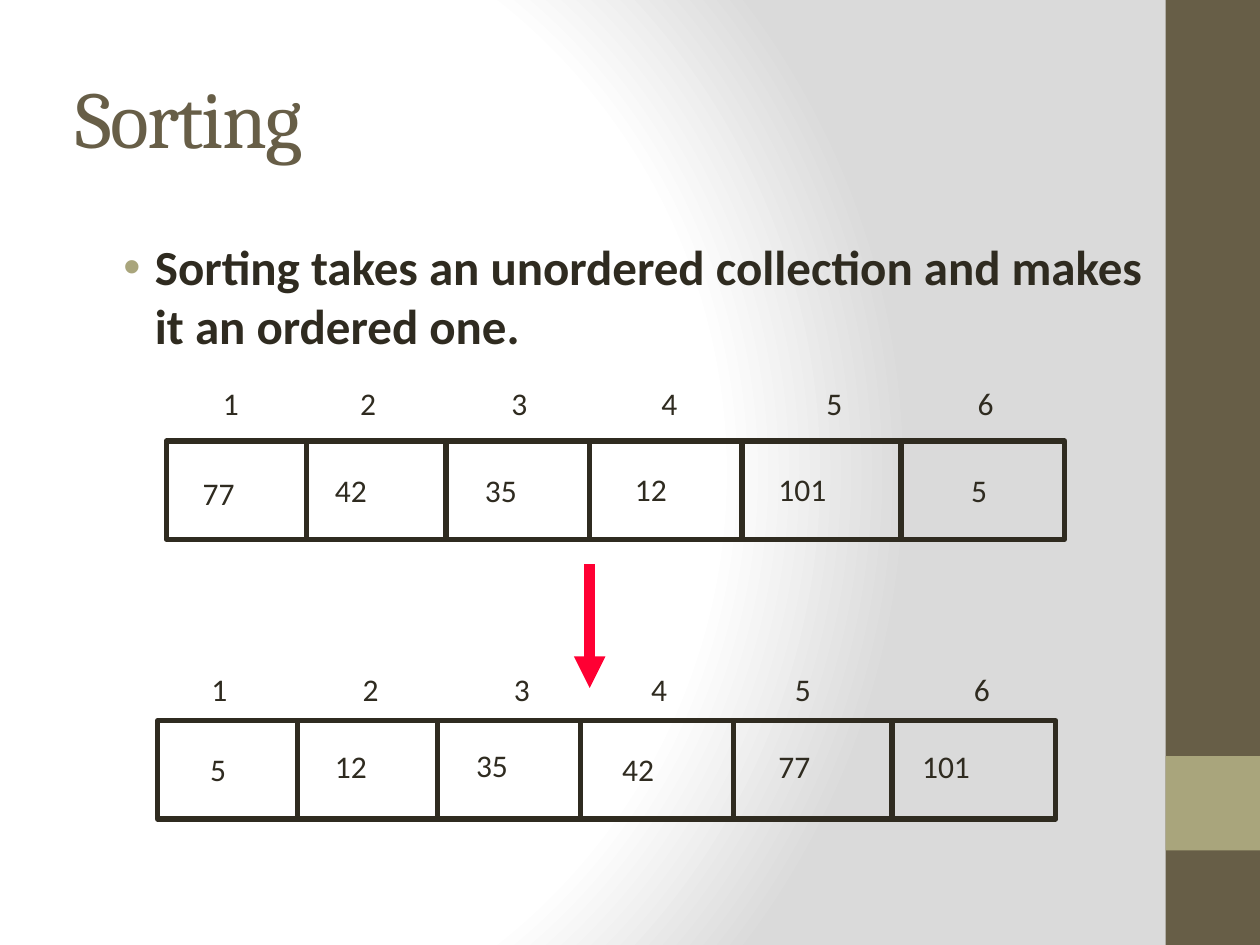
from dataclasses import dataclass

from lxml.etree import SubElement
from pptx import Presentation
from pptx.dml.color import RGBColor
from pptx.enum.shapes import MSO_CONNECTOR, MSO_SHAPE
from pptx.enum.text import MSO_ANCHOR, MSO_AUTO_SIZE, PP_ALIGN
from pptx.oxml import parse_xml
from pptx.oxml.ns import nsdecls, qn
from pptx.util import Inches, Pt


@dataclass(frozen=True)
class Theme:
    ink: str = "2F2B20"
    brown: str = "675E47"
    sage: str = "A9A57C"
    red: str = "FF0033"
    white: str = "FFFFFF"
    gray: str = "DADADA"
    head: str = "Cambria"
    text: str = "Calibri"
    title: int = 46
    body: int = 28
    label: int = 18
    rule: int = 3
    arrow: int = 6


THEME = Theme()
ROW_W, ROW_H = 7.13, 0.78
SPLITS = (1.11, 2.22, 3.36, 4.57, 5.83)


def color(code):
    return RGBColor.from_string(code)


def place(shape, left, top, width, height):
    shape.left, shape.top = Inches(left), Inches(top)
    shape.width, shape.height = Inches(width), Inches(height)


def add_run(para, text, size, code=THEME.ink, face=THEME.text, bold=False):
    run = para.add_run()
    run.text = text
    font = run.font
    font.size, font.name, font.bold = Pt(size), face, bold
    font.color.rgb = color(code)
    return run


def paint_back(slide):
    """Fill the background with a round gradient centred on the left."""
    slide.background.fill.solid()
    props = slide.background._cSld.find(qn("p:bg")).find(qn("p:bgPr"))
    stops = ((0, THEME.white), (75, THEME.white), (100, THEME.gray))
    marks = "".join(
        f'<a:gs pos="{pos * 1000}"><a:srgbClr val="{code}"/></a:gs>'
        for pos, code in stops
    )
    props.replace(props[0], parse_xml(
        f'<a:gradFill {nsdecls("a")} rotWithShape="1"><a:gsLst>{marks}</a:gsLst>'
        '<a:path path="circle">'
        '<a:fillToRect l="20000" t="50000" r="100000" b="50000"/>'
        '</a:path></a:gradFill>'
    ))


def add_rect(shapes, left, top, width, height, fill=None):
    """Draw a filled block, or an outlined one when no fill is given."""
    rect = shapes.add_shape(MSO_SHAPE.RECTANGLE, Inches(left), Inches(top),
                            Inches(width), Inches(height))
    rect.shadow.inherit = False
    if fill:
        rect.fill.solid()
        rect.fill.fore_color.rgb = color(fill)
        rect.line.fill.background()
    else:
        rect.fill.background()
        rect.line.color.rgb = color(THEME.ink)
        rect.line.width = Pt(THEME.rule)


def add_line(shapes, x, top, end, code=THEME.ink, width=THEME.rule):
    line = shapes.add_connector(MSO_CONNECTOR.STRAIGHT, Inches(x), Inches(top),
                                Inches(x), Inches(end))
    line.line.color.rgb = color(code)
    line.line.width = Pt(width)
    SubElement(line._element.spPr, qn("a:effectLst"))
    return line


def add_arrow(shapes, x, top, end):
    line = add_line(shapes, x, top, end, THEME.red, THEME.arrow)
    SubElement(line.line._get_or_add_ln(), qn("a:tailEnd"), type="triangle")


def add_label(shapes, text, left, top, width, height, wrap=False):
    box = shapes.add_textbox(Inches(left), Inches(top),
                             Inches(width), Inches(height))
    frame = box.text_frame
    frame.word_wrap = wrap
    frame.auto_size = MSO_AUTO_SIZE.SHAPE_TO_FIT_TEXT
    para = frame.paragraphs[0]
    add_run(para, text, THEME.label)
    return para


def add_index(shapes, left, top, width, tabs):
    """Number the cells 1 to 6, spaced by tab stops."""
    text = "\t".join(str(n) for n in range(1, len(tabs) + 2))
    para = add_label(shapes, text, left, top, width, 0.4, wrap=True)
    stops = SubElement(para._p.get_or_add_pPr(), qn("a:tabLst"))
    for tab in tabs:
        SubElement(stops, qn("a:tab"), pos=str(Inches(tab)), algn="l")


def add_array(shapes, left, top, cells):
    """Draw a row of cells; each cell is a value with its x and y."""
    add_rect(shapes, left, top, ROW_W, ROW_H)
    for split in SPLITS:
        add_line(shapes, left + split, top, top + ROW_H)
    for value, x, y in cells:
        text = str(value)
        add_label(shapes, text, x, y, 0.2 + 0.185 * len(text), 0.5)


def set_title(shape, text):
    place(shape, 0.5, 0.3, 8.33, 1.25)
    frame = shape.text_frame
    frame.vertical_anchor = MSO_ANCHOR.MIDDLE
    frame.auto_size = MSO_AUTO_SIZE.NONE
    para = frame.paragraphs[0]
    para.alignment = PP_ALIGN.LEFT
    run = add_run(para, text, THEME.title, THEME.brown, THEME.head)
    run.font._element.set("spc", "-100")


def set_body(shape, text):
    place(shape, 0.75, 1.83, 8.5, 4.83)
    frame = shape.text_frame
    frame.auto_size = MSO_AUTO_SIZE.NONE
    para = frame.paragraphs[0]
    add_run(para, text, THEME.body, bold=True)
    props = para._p.get_or_add_pPr()
    props.set("marL", str(Inches(0.38)))
    props.set("indent", str(Inches(-0.25)))
    tint = SubElement(props, qn("a:buClr"))
    SubElement(tint, qn("a:srgbClr"), val=THEME.sage)
    SubElement(props, qn("a:buChar"), char="•")


def main():
    deck = Presentation()
    deck.slide_width, deck.slide_height = Inches(10), Inches(7.5)
    slide = deck.slides.add_slide(deck.slide_layouts[1])
    shapes = slide.shapes
    paint_back(slide)
    add_rect(shapes, 9.25, 0, 0.75, 7.5, THEME.brown)
    add_rect(shapes, 9.25, 6, 0.75, 0.75, THEME.sage)
    set_title(shapes.title, "Sorting")
    set_body(slide.placeholders[1],
             "Sorting takes an unordered collection and makes it an ordered one.")

    add_array(shapes, 1.32, 3.5, (
        (77, 1.51, 3.71), (42, 2.56, 3.69), (35, 3.75, 3.69),
        (12, 4.94, 3.68), (101, 6.08, 3.68), (5, 7.61, 3.69)))
    add_index(shapes, 1.58, 5.27, 6.45, (1.2, 2.4, 3.49, 4.63, 6.05))
    add_array(shapes.add_group_shape().shapes, 1.25, 5.72, (
        (5, 1.57, 5.9), (12, 2.56, 5.88), (35, 3.68, 5.87),
        (42, 4.84, 5.9), (77, 6.08, 5.88), (101, 7.22, 5.88)))
    add_index(shapes, 1.67, 3, 6.34, (1.09, 2.29, 3.48, 4.79, 5.99))
    add_arrow(shapes, 4.68, 4.48, 5.46)
    deck.save("out.pptx")


if __name__ == "__main__":
    main()
